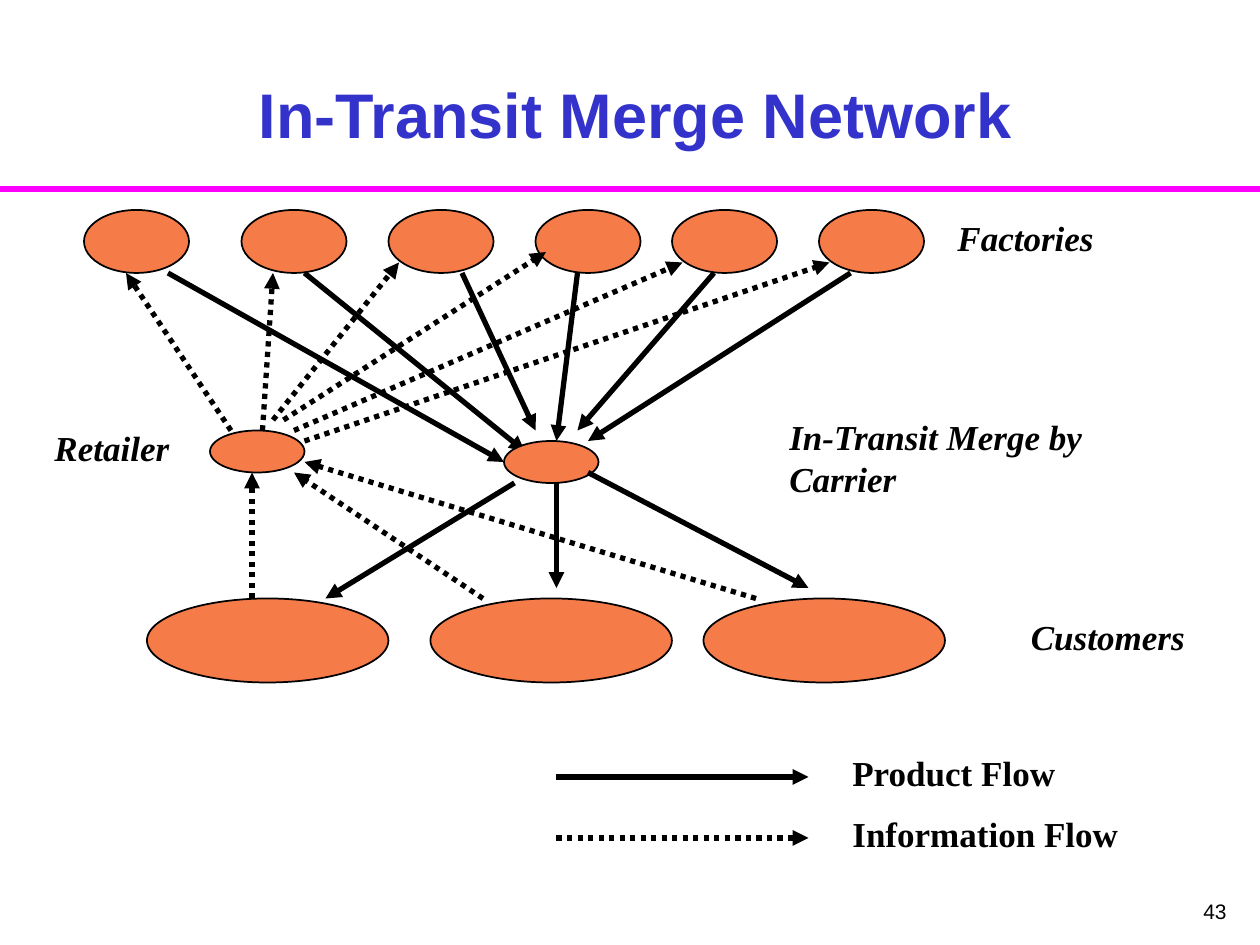
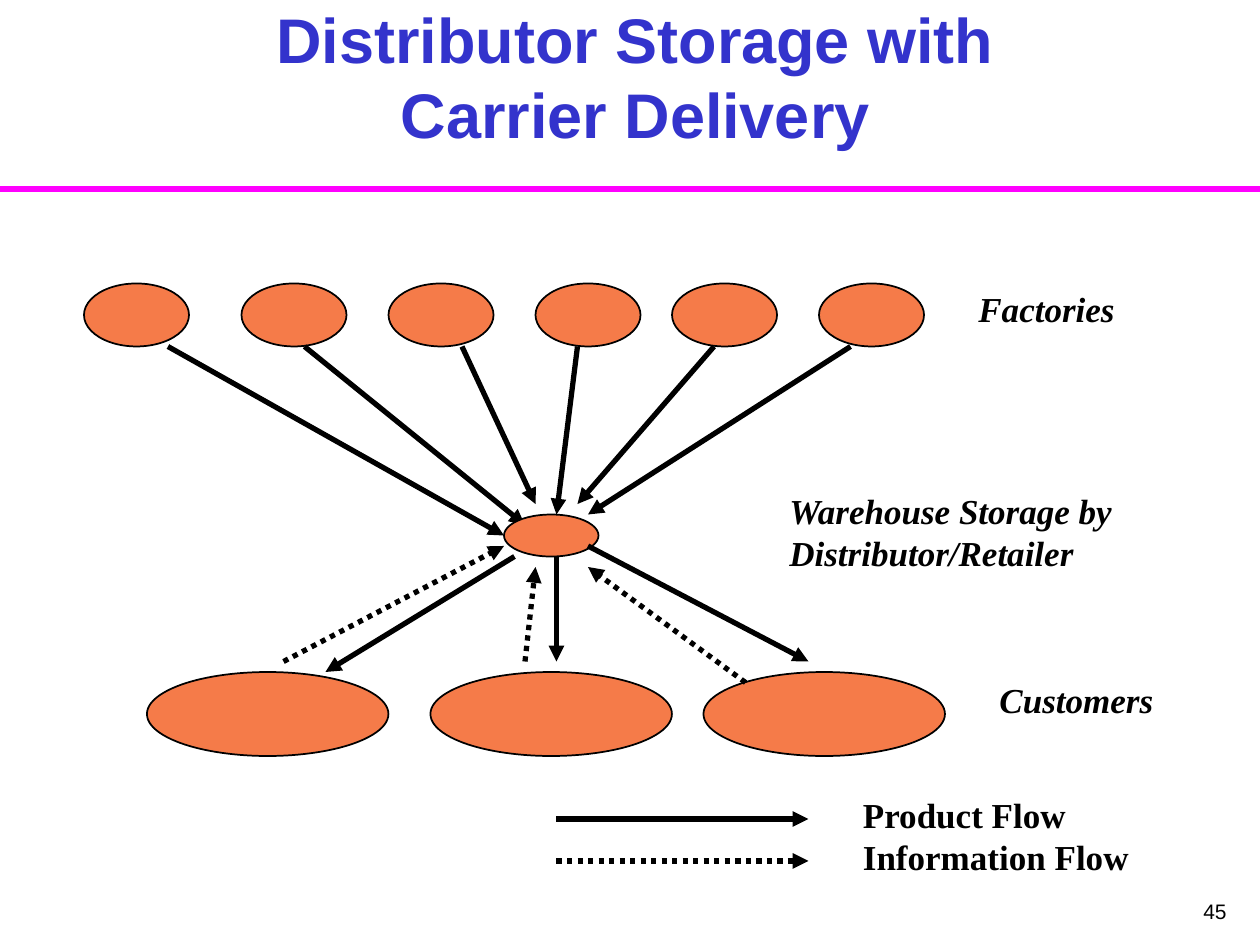
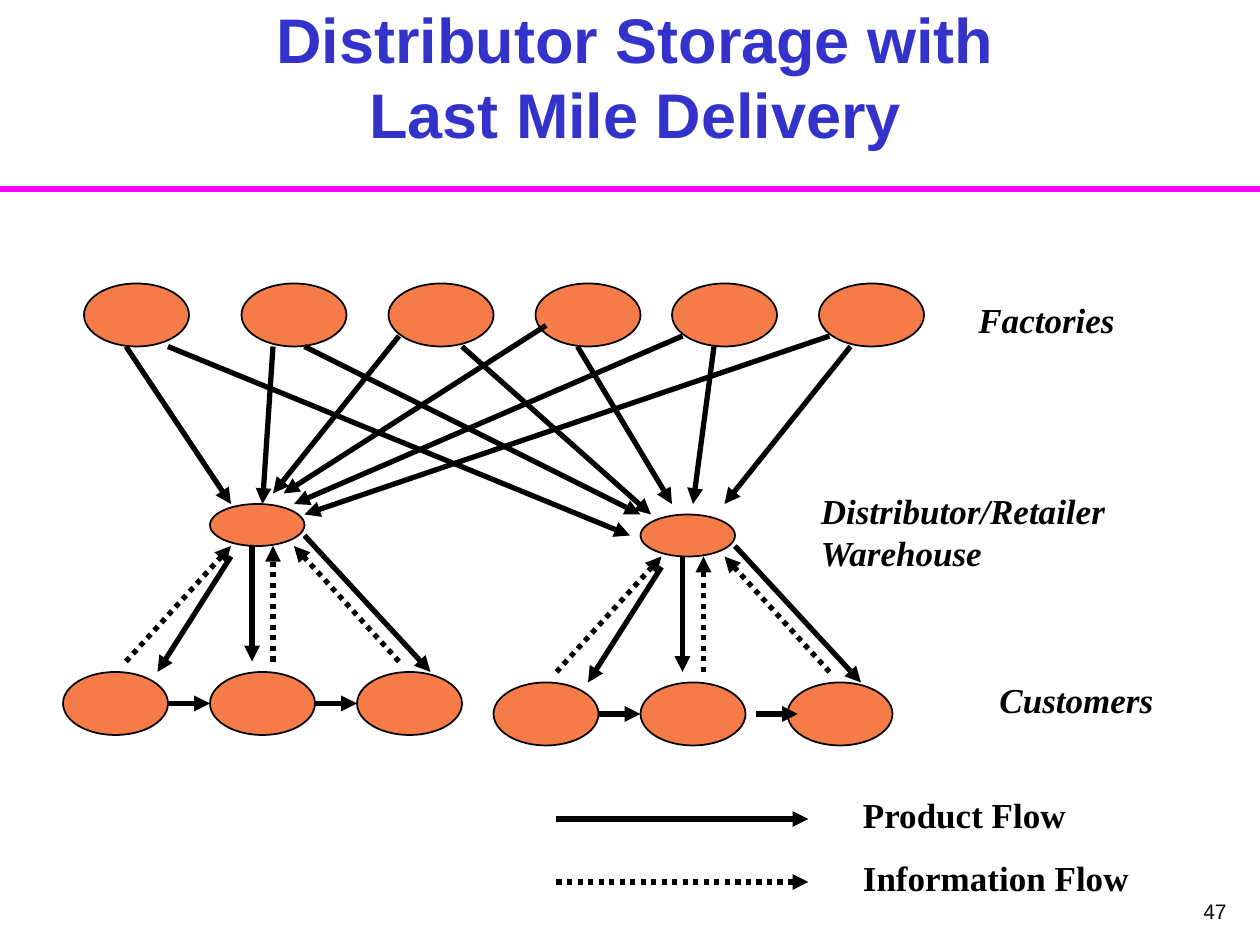
from dataclasses import dataclass
from typing import NamedTuple

from lxml.etree import SubElement
from pptx import Presentation
from pptx.dml.color import RGBColor
from pptx.enum.dml import MSO_LINE
from pptx.enum.shapes import MSO_CONNECTOR, MSO_SHAPE
from pptx.enum.text import MSO_ANCHOR, PP_ALIGN
from pptx.oxml.ns import qn
from pptx.shapes.connector import Connector
from pptx.slide import Slide
from pptx.util import Emu, Pt

EMU_PER_PX = 7620
PAGE_WIDTH, PAGE_HEIGHT = 1200, 900


@dataclass(frozen=True)
class TextStyle:
    font: str
    size: int
    color: RGBColor
    bold: bool = False
    italic: bool = False
    align: PP_ALIGN = PP_ALIGN.LEFT
    anchor: MSO_ANCHOR = MSO_ANCHOR.TOP


@dataclass(frozen=True)
class Theme:
    ink: RGBColor = RGBColor(0x00, 0x00, 0x00)
    node: RGBColor = RGBColor(0xF5, 0x7B, 0x49)
    band: RGBColor = RGBColor(0xFF, 0x00, 0xFF)
    outline_width: int = 1
    flow_width: int = 3
    band_width: int = 4
    title: TextStyle = TextStyle(
        "Arial", 36, RGBColor(0x33, 0x33, 0xCC), bold=True,
        align=PP_ALIGN.CENTER, anchor=MSO_ANCHOR.BOTTOM)
    number: TextStyle = TextStyle("Arial", 12, ink, align=PP_ALIGN.RIGHT)
    stage: TextStyle = TextStyle("Times New Roman", 20, ink, bold=True, italic=True)
    legend: TextStyle = TextStyle("Times New Roman", 20, ink, bold=True)


THEME = Theme()


class Point(NamedTuple):
    x: int
    y: int


class Size(NamedTuple):
    width: int
    height: int


class Flow(NamedTuple):
    start: Point
    end: Point
    information: bool = False

    def shifted(self, across: int, down: int) -> "Flow":
        return Flow(Point(self.start.x + across, self.start.y + down),
                    Point(self.end.x + across, self.end.y + down), self.information)

    def as_product(self) -> "Flow":
        return Flow(self.end, self.start)


class Label(NamedTuple):
    text: str
    left: int
    top: int
    width: int
    height: int = 52


def product(x1: int, y1: int, x2: int, y2: int) -> Flow:
    return Flow(Point(x1, y1), Point(x2, y2))


def information(x1: int, y1: int, x2: int, y2: int) -> Flow:
    return Flow(Point(x1, y1), Point(x2, y2), True)


SMALL_NODE, HUB, LARGE_NODE = Size(100, 60), Size(90, 40), Size(230, 80)
FACTORY_LEFTS = (80, 230, 370, 510, 640, 780)
FACTORY_EXITS = (160, 290, 440, 550, 680, 810)
CUSTOMER_LEFTS = (140, 410, 670)

# Flow coordinates below are measured from the top of the factory row.
MERGE_ENDS = ((480, 240), (500, 230), (510, 210), (530, 220), (550, 210), (560, 220))
LAST_MILE_ENDS = ((600, 240), (610, 220), (620, 220), (640, 210), (660, 210), (690, 210))
MERGE_DELIVERIES = (
    product(490, 260, 310, 370),
    product(530, 260, 530, 360),
    product(560, 250, 770, 360),
)
RETAILER_ORDERS = (
    information(220, 210, 120, 60),
    information(250, 210, 260, 60),
    information(260, 200, 380, 50),
    information(270, 200, 520, 40),
    information(280, 210, 650, 50),
    information(290, 220, 790, 50),
)
CLUSTER_FLOWS = (
    information(180, 150, 80, 40),
    information(60, 150, 60, 40),
    information(-80, 150, 20, 40),
    product(20, 50, -50, 160),
    product(40, 40, 40, 150),
    product(90, 30, 210, 160),
)


def px(value: int) -> Emu:
    return Emu(value * EMU_PER_PX)


def add_text(page: Slide, label: Label, style: TextStyle) -> None:
    box = page.shapes.add_textbox(*map(px, label[1:]))
    frame = box.text_frame
    frame.word_wrap = True
    frame.vertical_anchor = style.anchor
    frame.text = label.text
    for para in frame.paragraphs:
        para.alignment = style.align
        for span in para.runs:
            font = span.font
            font.name, font.size = style.font, Pt(style.size)
            font.bold, font.italic = style.bold, style.italic
            font.color.rgb = style.color


def add_line(page: Slide, start: Point, end: Point, color: RGBColor, width: int) -> Connector:
    line = page.shapes.add_connector(
        MSO_CONNECTOR.STRAIGHT, px(start.x), px(start.y), px(end.x), px(end.y))
    line.line.color.rgb = color
    line.line.width = Pt(width)
    SubElement(line.element.spPr, qn("a:effectLst"))
    return line


def add_flow(page: Slide, flow: Flow) -> None:
    arrow = add_line(page, flow.start, flow.end, THEME.ink, THEME.flow_width)
    if flow.information:
        arrow.line.dash_style = MSO_LINE.ROUND_DOT
    outline = arrow.element.spPr.find(qn("a:ln"))
    SubElement(outline, qn("a:tailEnd"), type="triangle")


def add_node(page: Slide, left: int, top: int, size: Size) -> None:
    node = page.shapes.add_shape(
        MSO_SHAPE.OVAL, px(left), px(top), px(size.width), px(size.height))
    node.shadow.inherit = False
    node.fill.solid()
    node.fill.fore_color.rgb = THEME.node
    node.line.color.rgb = THEME.ink
    node.line.width = Pt(THEME.outline_width)


def add_page(deck: Presentation, title: str, number: int) -> Slide:
    page = deck.slides.add_slide(deck.slide_layouts[6])
    add_line(page, Point(0, 180), Point(PAGE_WIDTH, 180), THEME.band, THEME.band_width)
    add_text(page, Label(str(number), 930, 850, 250, 50), THEME.number)
    add_text(page, Label(title, 50, 35, 1110, 115), THEME.title)
    return page


def add_stages(page: Slide, *labels: Label) -> None:
    for label in labels:
        add_text(page, label, THEME.stage)


def add_legend(page: Slide, left: int, top: int, pitch: int) -> None:
    entries = (("Product Flow", 220, product), ("Information Flow", 280, information))
    for row, (name, width, make_flow) in enumerate(entries):
        y = top + row * pitch
        add_flow(page, make_flow(530, y, 770, y))
        add_text(page, Label(name, left, y - 30, width), THEME.legend)


def add_factories(page: Slide, top: int, ends: tuple[tuple[int, int], ...]) -> None:
    for left in FACTORY_LEFTS:
        add_node(page, left, top, SMALL_NODE)
    for exit_x, end in zip(FACTORY_EXITS, ends):
        add_flow(page, product(exit_x, SMALL_NODE.height, *end).shifted(0, top))


def add_merge_network(page: Slide, top: int) -> None:
    for left in CUSTOMER_LEFTS:
        add_node(page, left, top + 370, LARGE_NODE)
    add_factories(page, top, MERGE_ENDS)
    add_node(page, 480, top + 220, HUB)
    for delivery in MERGE_DELIVERIES:
        add_flow(page, delivery.shifted(0, top))


def add_cluster(page: Slide, left: int, top: int, last_link_shift: int = 0) -> None:
    add_node(page, left, top, HUB)
    for flow in CLUSTER_FLOWS:
        add_flow(page, flow.shifted(left, top))
    for step in (-1, 0, 1):
        add_node(page, left + 140 * step, top + 160, SMALL_NODE)
    for start, shift in ((left - 40, 0), (left + 100, last_link_shift)):
        add_flow(page, product(start, top + 190, start + 40, top + 190).shifted(shift, 0))


def build_in_transit_merge(deck: Presentation) -> None:
    top = 200
    page = add_page(deck, "In-Transit Merge Network", 43)
    add_node(page, 200, 410, HUB)
    add_merge_network(page, top)
    for order in RETAILER_ORDERS:
        add_flow(page, order.shifted(0, top))
    for request in (information(240, 570, 240, 450), information(460, 570, 280, 450),
                    information(720, 570, 290, 440)):
        add_flow(page, request)
    add_stages(page, Label("Factories", 900, 200, 220), Label("Retailer", 40, 400, 140),
               Label("In-Transit Merge by Carrier", 740, 390, 360, 92),
               Label("Customers", 970, 580, 180))
    add_legend(page, 800, 740, 58)


def build_carrier_delivery(deck: Presentation) -> None:
    page = add_page(deck, "Distributor Storage with\vCarrier Delivery", 45)
    add_merge_network(page, 270)
    for request in (information(710, 650, 560, 540), information(500, 630, 510, 540),
                    information(270, 630, 480, 520)):
        add_flow(page, request)
    add_stages(page, Label("Factories", 920, 268, 220),
               Label("Warehouse Storage by Distributor/Retailer", 740, 460, 360, 92),
               Label("Customers", 940, 640, 220))
    add_legend(page, 810, 780, 40)


def build_last_mile(deck: Presentation) -> None:
    top = 270
    page = add_page(deck, "Distributor Storage with\vLast Mile Delivery", 47)
    add_factories(page, top, LAST_MILE_ENDS)
    for order in RETAILER_ORDERS:
        add_flow(page, order.as_product().shifted(0, top))
    add_cluster(page, 200, 480)
    add_cluster(page, 610, 490, last_link_shift=10)
    add_stages(page, Label("Factories", 920, 278, 220),
               Label("Distributor/Retailer Warehouse", 770, 460, 360, 92),
               Label("Customers", 940, 640, 220))
    add_legend(page, 810, 780, 60)


def main() -> None:
    deck = Presentation()
    deck.slide_width, deck.slide_height = px(PAGE_WIDTH), px(PAGE_HEIGHT)
    build_in_transit_merge(deck)
    build_carrier_delivery(deck)
    build_last_mile(deck)
    deck.save("out.pptx")


if __name__ == "__main__":
    main()
